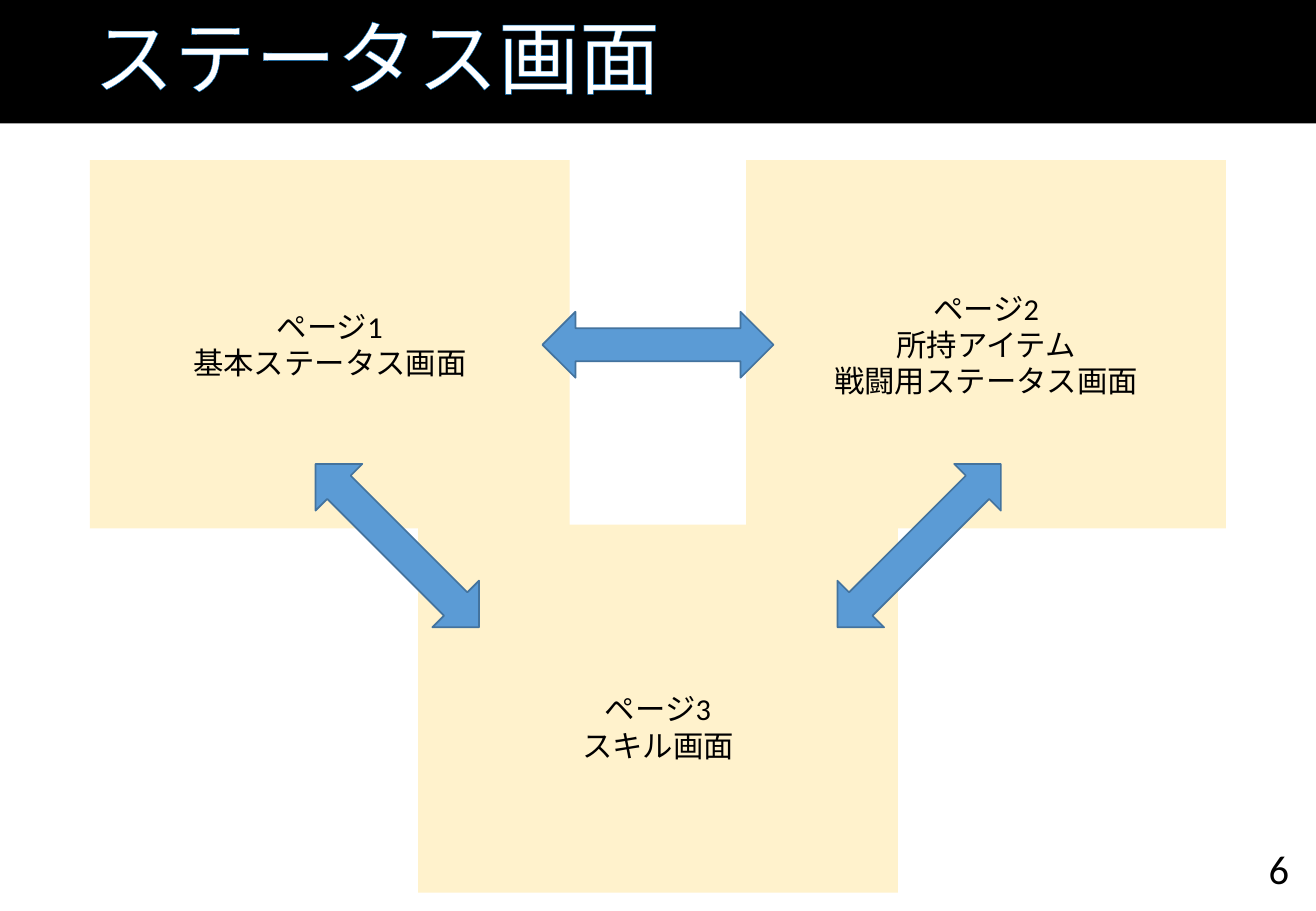
"""Build the status screen slide: three linked pages under a black title bar."""
from lxml import etree
from pptx import Presentation
from pptx.dml.color import RGBColor
from pptx.enum.lang import MSO_LANGUAGE_ID
from pptx.enum.shapes import MSO_SHAPE
from pptx.enum.text import MSO_ANCHOR, PP_ALIGN
from pptx.oxml import parse_xml
from pptx.util import Cm, Pt

RECT, ARROW = MSO_SHAPE.RECTANGLE, MSO_SHAPE.LEFT_RIGHT_ARROW
LEFT, CENTER, RIGHT = PP_ALIGN.LEFT, PP_ALIGN.CENTER, PP_ALIGN.RIGHT
MIDDLE = MSO_ANCHOR.MIDDLE
JAPANESE = MSO_LANGUAGE_ID.JAPANESE
BLACK = RGBColor(0x00, 0x00, 0x00)
WHITE = RGBColor(0xFF, 0xFF, 0xFF)
CREAM = RGBColor(0xFF, 0xF2, 0xCC)
BLUE = RGBColor(0x5B, 0x9B, 0xD5)
DARK_BLUE = RGBColor(0x43, 0x73, 0x9E)
OUTLINE = RGBColor(0x00, 0x70, 0xC0)
NS = "http://schemas.openxmlformats.org/drawingml/2006/main"


def add_block(kind, left, top, width, height, fill):
    sp = s.shapes.add_shape(kind, Cm(left), Cm(top), Cm(width), Cm(height))
    sp.shadow.inherit = False
    sp.fill.solid()
    sp.fill.fore_color.rgb = fill
    sp.line.fill.background()
    return sp


def write(sp, lines, size, color, align):
    tf = sp.text_frame
    tf.word_wrap = True
    tf.vertical_anchor = MIDDLE
    for i, line in enumerate(lines):
        p = tf.add_paragraph() if i else tf.paragraphs[0]
        p.alignment = align
        r = p.add_run()
        r.text = line
        r.font.name = "Calibri"
        r.font.size = Pt(size)
        r.font.color.rgb = color
        r.font.language_id = JAPANESE
    return tf


prs = Presentation()
prs.slide_width, prs.slide_height = Cm(27.51), Cm(19.05)
s = prs.slides.add_slide(prs.slide_layouts[6])

title = add_block(RECT, 0, 0, 27.51, 2.58, BLACK)
tf = write(title, ["ステータス画面"], 48, WHITE, LEFT)
tf.margin_left = Cm(1.95)
p = tf.paragraphs[0]
p.line_spacing = 0.9
ln = parse_xml(f'<a:ln xmlns:a="{NS}" w="{Pt(0.75)}"/>')
fill = etree.SubElement(ln, f"{{{NS}}}solidFill")
etree.SubElement(fill, f"{{{NS}}}srgbClr", val=str(OUTLINE))
p.runs[0].font._element.insert(0, ln)

number = s.shapes.add_textbox(Cm(25.63), Cm(17.65), Cm(1.57), Cm(1.01))
write(number, ["6"], 24, BLACK, RIGHT)

pages = [
    (1.88, 3.35, 0.13, ["ページ1", "基本ステータス画面"]),
    (15.6, 3.35, 0.13, ["ページ2", "所持アイテム", "戦闘用ステータス画面"]),
    (8.74, 10.97, 0.89, ["ページ3", "スキル画面"]),
]
for left, top, margin_top, lines in pages:
    page = add_block(RECT, left, top, 10.03, 7.7, CREAM)
    tf = write(page, lines, 18, BLACK, CENTER)
    tf.margin_top = Cm(margin_top)

for left, top, angle in [(11.34, 6.52, 0), (5.89, 10.72, 45), (16.8, 10.72, 315)]:
    arrow = add_block(ARROW, left, top, 4.83, 1.38, BLUE)
    arrow.rotation = angle
    arrow.line.color.rgb = DARK_BLUE
    arrow.line.width = Pt(1)

prs.save("out.pptx")
